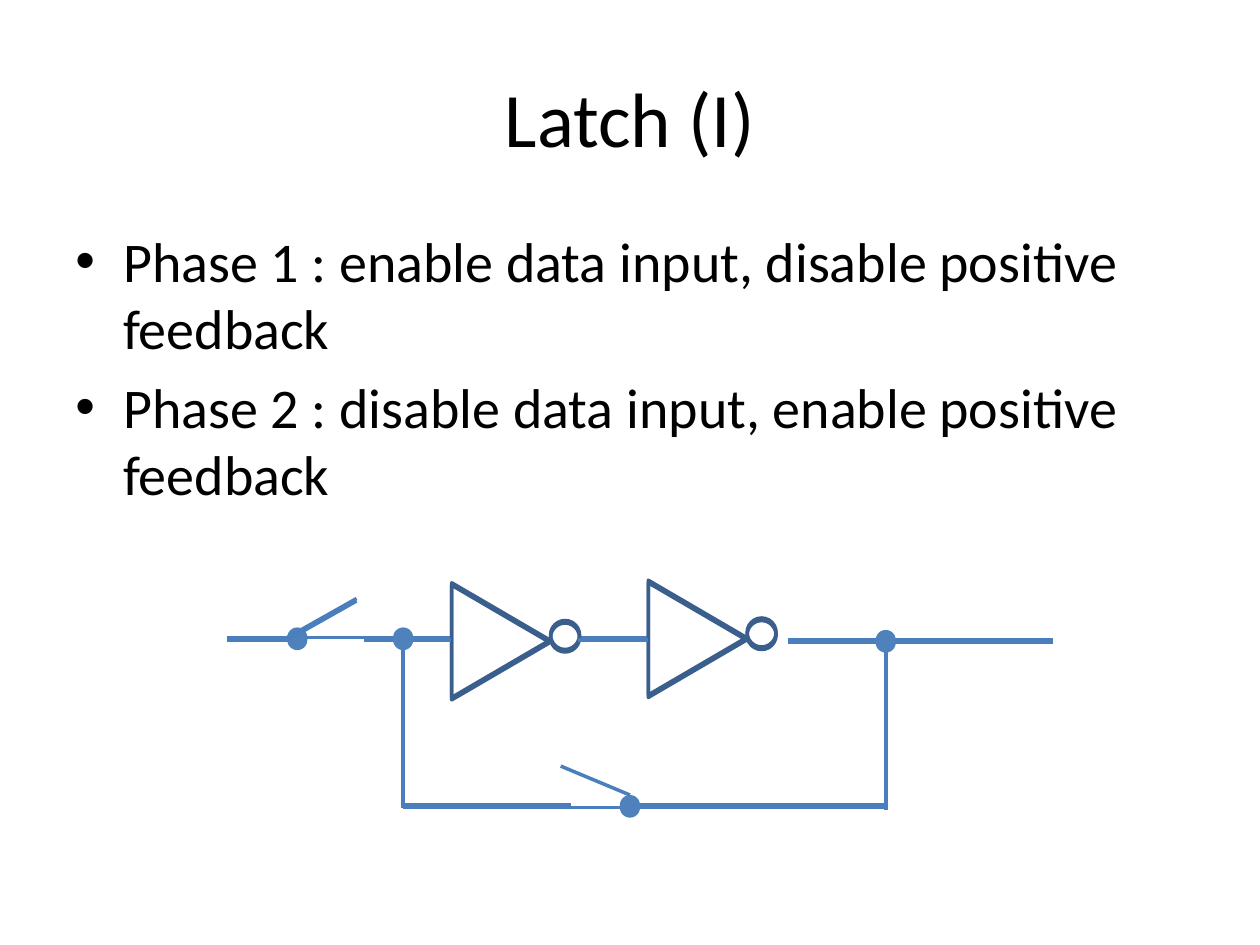
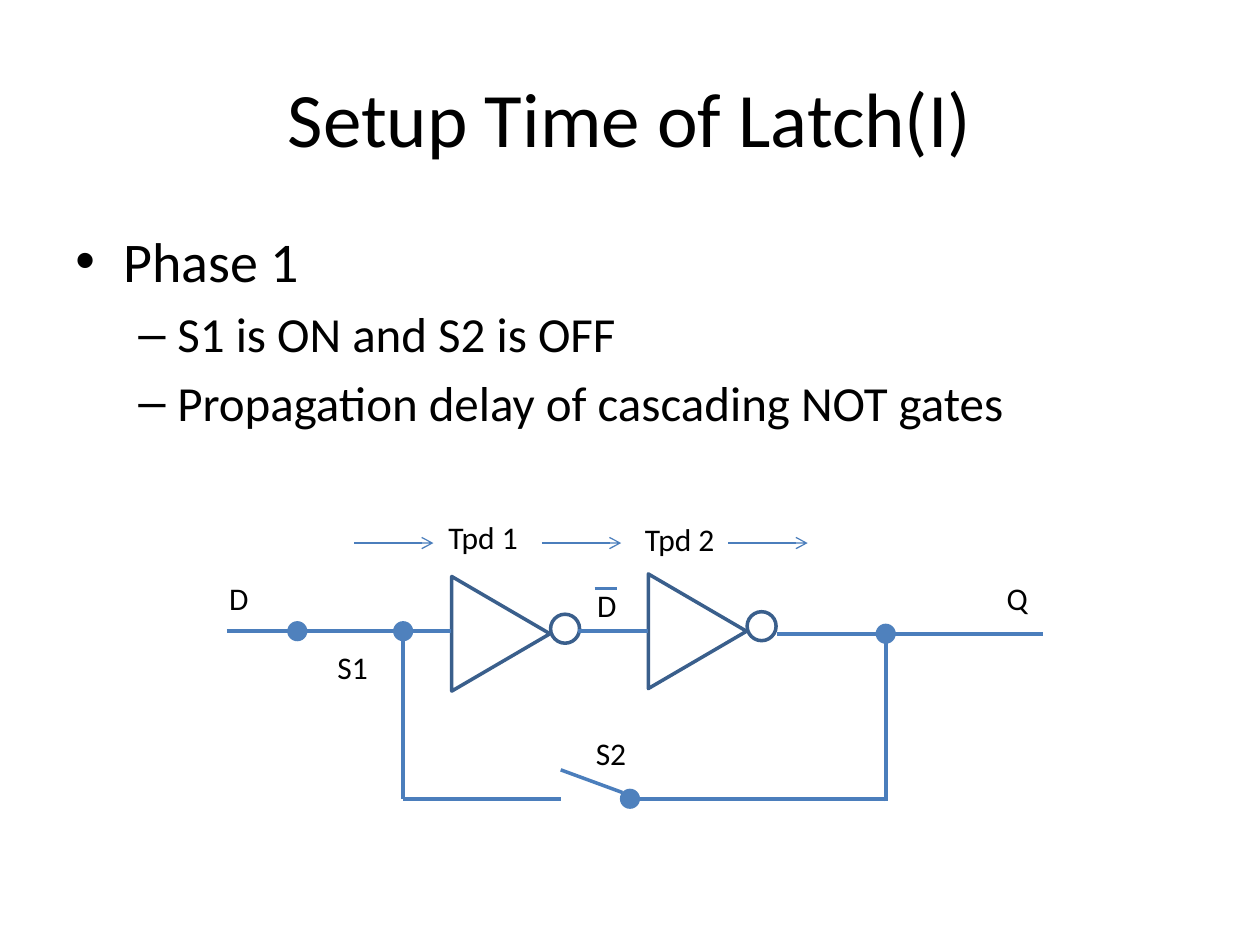
from lxml.etree import SubElement
from pptx import Presentation
from pptx.dml.color import RGBColor
from pptx.enum.shapes import MSO_CONNECTOR as Link, MSO_SHAPE as Kind
from pptx.enum.text import MSO_ANCHOR as Anchor, PP_ALIGN as Align
from pptx.oxml.ns import qn
from pptx.util import Inches, Pt

FONT = "Calibri"
INK, WIRE, GATE, DOT = "000000", "4B7EBC", "3A5F8C", "4F81BD"
# Bullet levels: mark, text indent, hanging width, size
LEVELS = [("•", 0.38, 0.38, 32), ("–", 0.81, 0.31, 28)]
DROP = 1.33  # from the input wire down to the feedback wire
STEP = 0.02  # the output wire sits this much below the input wire


def color(code):
    return RGBColor.from_string(code)


def style(para, size):
    para.font.name = FONT
    para.font.size = Pt(size)
    para.font.color.rgb = color(INK)


def add_box(slide, left, top, width, height, wrap=True):
    box = slide.shapes.add_textbox(*map(Inches, (left, top, width, height)))
    box.text_frame.word_wrap = wrap
    return box.text_frame


def add_title(slide, text):
    frame = add_box(slide, 0.5, 0.3, 9, 1.25)
    frame.vertical_anchor = Anchor.MIDDLE
    para = frame.paragraphs[0]
    para.text = text
    para.alignment = Align.CENTER
    style(para, 44)


def add_list(slide, items):
    frame = add_box(slide, 0.5, 1.75, 9, 4.95)
    for i, (level, text) in enumerate(items):
        para = frame.add_paragraph() if i else frame.paragraphs[0]
        para.text = text
        para.level = level
        mark, indent, hang, size = LEVELS[level]
        props = para._p.get_or_add_pPr()
        props.set("marL", str(Inches(indent)))
        props.set("indent", str(-Inches(hang)))
        SubElement(props, qn("a:buFont")).set("typeface", "Arial")
        SubElement(props, qn("a:buChar")).set("char", mark)
        if i:
            para.space_before = Pt(0.2 * size)
        style(para, size)


def add_label(slide, text, left, top, width):
    para = add_box(slide, left, top, width, 0.4, wrap=False).paragraphs[0]
    para.text = text
    style(para, 18)


def add_wire(slide, x1, y1, x2, y2, width=2, arrow=False):
    wire = slide.shapes.add_connector(
        Link.STRAIGHT, *map(Inches, (x1, y1, x2, y2)))
    wire.line.color.rgb = color(WIRE)
    wire.line.width = Pt(width)
    if arrow:
        SubElement(wire.line._get_or_add_ln(), qn("a:tailEnd")).set("type", "arrow")
    SubElement(wire._element.spPr, qn("a:effectLst"))


def add_shape(slide, kind, left, top, width, height):
    shape = slide.shapes.add_shape(
        kind, *map(Inches, (left, top, width, height)))
    shape.shadow.inherit = False
    return shape


def add_gate(slide, left, top):
    """NOT gate: a triangle turned to the right and its bubble."""
    body = add_shape(slide, Kind.ISOSCELES_TRIANGLE, left, top, 0.91, 0.78)
    body.rotation = 90
    bubble = add_shape(slide, Kind.OVAL, left + 0.85, top + 0.235, 0.23, 0.23)
    for part in (body, bubble):
        part.fill.background()
        part.line.color.rgb = color(GATE)
        part.line.width = Pt(2)


def add_dot(slide, x, y):
    dot = add_shape(slide, Kind.OVAL, x - 0.08, y - 0.08, 0.16, 0.16)
    dot.fill.solid()
    dot.fill.fore_color.rgb = color(DOT)
    dot.line.fill.background()


def add_latch(slide, y, inlet, left_end, out):
    """Latch with its input wire at height y; switches are drawn apart."""
    low, high = y + DROP, y + STEP
    add_gate(slide, 3.52, y - 0.37)
    add_gate(slide, 5.08, y - 0.39)
    # Forward wires
    add_wire(slide, 1.8, y, 2.34, y)
    add_wire(slide, inlet, y, 3.58, y)
    add_wire(slide, 4.59, y, 5.14, y)
    add_wire(slide, out, high, out + 2.11, high)
    # Feedback wires
    add_wire(slide, 3.2, low, 3.2, y)
    add_wire(slide, 3.2, low, left_end, low)
    add_wire(slide, 5, low, 7.03, low)
    add_wire(slide, 7.03, low + STEP, 7.03, high)
    for x, level in ((2.36, y), (3.2, y), (5, low), (7.03, high)):
        add_dot(slide, x, level)


def phases(slide):
    add_title(slide, "Latch (I)")
    add_list(slide, [
        (0, "Phase 1 : enable data input, disable positive feedback"),
        (0, "Phase 2 : disable data input, enable positive feedback")])
    # One latch for each phase, laid over each other
    add_wire(slide, 2.89, 5.06, 3.58, 5.06)
    add_latch(slide, 5.06, 2.28, 4.53, 6.25)
    add_wire(slide, 5, 6.31, 4.45, 6.08)
    add_latch(slide, 5.08, 2.89, 5, 6.25)
    for y in (5.06, 5.08):
        add_wire(slide, 2.28, y, 2.83, y - 0.31)


def setup(slide):
    add_title(slide, "Setup Time of Latch(I)")
    add_list(slide, [
        (0, "Phase 1"),
        (1, "S1 is ON and S2 is OFF"),
        (1, "Propagation delay of cascading NOT gates")])
    # Delay path
    for x in (2.81, 4.3, 5.78):
        add_wire(slide, x, 4.31, x + 0.63, 4.31, 0.75, arrow=True)
    # Circuit with the feedback switch open
    add_latch(slide, 5.01, 2.44, 4.45, 6.17)
    add_wire(slide, 4.45, 6.11, 4.94, 6.29)
    for label in (("Tpd 1", 3.46, 4.06, 0.76), ("Tpd 2", 5.02, 4.08, 0.76),
                  ("D", 1.72, 4.55, 0.36), ("Q", 7.89, 4.55, 0.37),
                  ("S1", 2.58, 5.09, 0.45), ("S2", 4.63, 5.78, 0.45),
                  ("D", 4.64, 4.6, 0.36)):
        add_label(slide, *label)
    add_wire(slide, 4.72, 4.67, 4.9, 4.67)  # bar over the inverted D


def main():
    deck = Presentation()
    deck.slide_width, deck.slide_height = Inches(10), Inches(7.5)
    for draw in (phases, setup):
        draw(deck.slides.add_slide(deck.slide_layouts[6]))
    deck.save("out.pptx")


if __name__ == "__main__":
    main()
